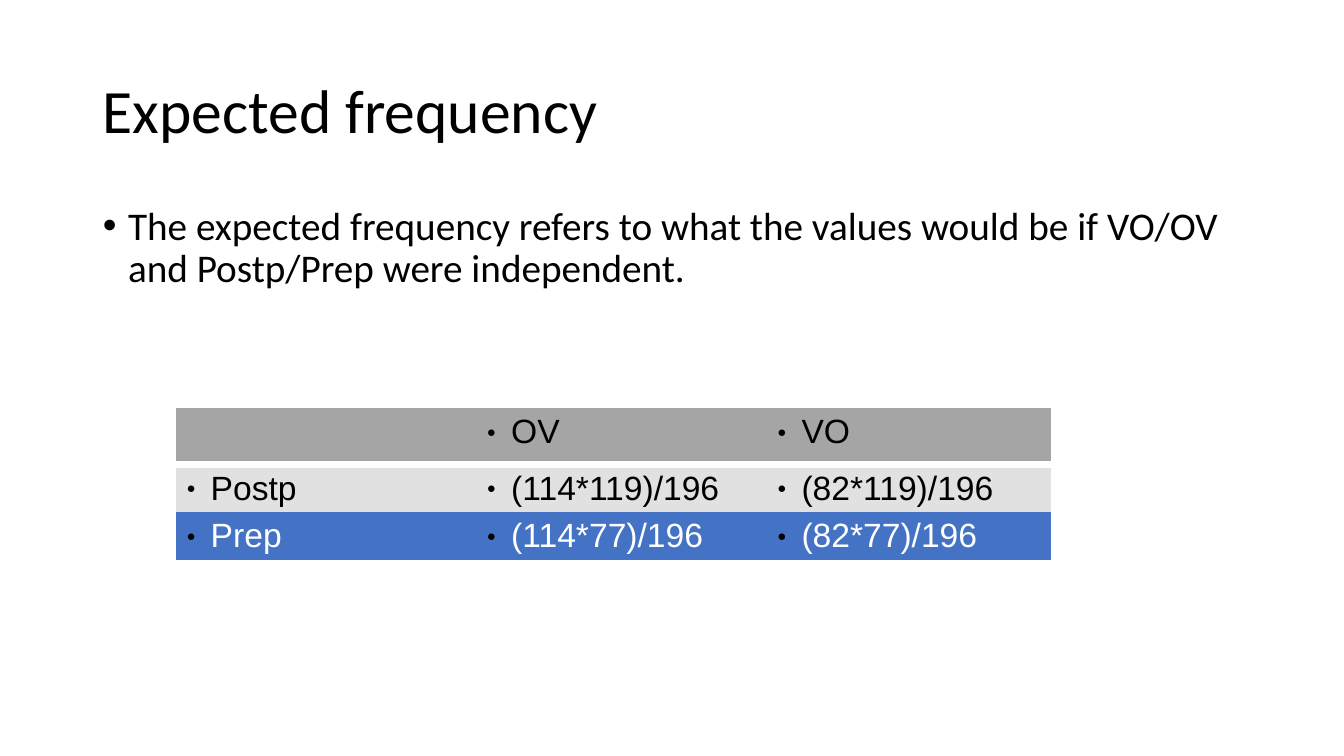
from dataclasses import dataclass

from lxml import etree
from pptx import Presentation
from pptx.dml.color import RGBColor
from pptx.enum.text import MSO_ANCHOR, PP_ALIGN
from pptx.oxml.ns import qn
from pptx.util import Inches, Pt

LEFT = PP_ALIGN.LEFT
TOP, MIDDLE = MSO_ANCHOR.TOP, MSO_ANCHOR.MIDDLE
PLAIN_TABLE_STYLE = "{2D5ABB26-0587-4C30-8999-92F81FD0307C}"


@dataclass(frozen=True)
class Theme:
    text: str = "000000"
    light: str = "FFFFFF"
    header: str = "A5A5A5"
    band: str = "E1E1E1"
    accent: str = "4472C4"
    heading_font: str = "Calibri"
    table_font: str = "Arial"
    title_size: int = 44
    body_size: int = 28
    table_size: int = 24
    rule_width: int = 6


THEME = Theme()

FREQUENCIES = [
    ["", "OV", "VO"],
    ["Postp", "(114*119)/196", "(82*119)/196"],
    ["Prep", "(114*77)/196", "(82*77)/196"],
]
ROW_STYLES = [
    (THEME.header, THEME.text),
    (THEME.band, THEME.text),
    (THEME.accent, THEME.light),
]
COLUMN_WIDTHS = [2.98, 2.88, 2.81]
ROW_HEIGHTS = [0.56, 0.47, 0.47]


def add_bullet(paragraph, character, indent, size_percent=100):
    properties = paragraph._p.get_or_add_pPr()
    properties.set("marL", str(Inches(indent)))
    properties.set("indent", str(-Inches(indent)))
    color = etree.SubElement(properties, qn("a:buClr"))
    etree.SubElement(color, qn("a:srgbClr"), val=THEME.text)
    etree.SubElement(properties, qn("a:buSzPct"), val=str(size_percent * 1000))
    etree.SubElement(properties, qn("a:buFont"), typeface="Arial")
    etree.SubElement(properties, qn("a:buChar"), char=character)


def write_text(text_frame, text, *, font, size, color=THEME.text, line_spacing=1.0, bullet=None):
    """Write one paragraph; bullet holds the keyword arguments of add_bullet."""
    paragraph = text_frame.paragraphs[0]
    paragraph.alignment = LEFT
    paragraph.line_spacing = line_spacing
    paragraph.space_before = Pt(0)
    if bullet:
        add_bullet(paragraph, **bullet)
    run = paragraph.add_run()
    run.text = text
    run.font.name = font
    run.font.size = Pt(size)
    run.font.color.rgb = RGBColor.from_string(color)


def fill_placeholder(shape, box, text, *, anchor, **text_format):
    shape.left, shape.top, shape.width, shape.height = map(Inches, box)
    shape.text_frame.word_wrap = True
    shape.text_frame.vertical_anchor = anchor
    write_text(shape.text_frame, text, font=THEME.heading_font, line_spacing=0.9, **text_format)


def add_bottom_rule(cell, color, width):
    line = etree.Element(qn("a:lnB"), w=str(Pt(width)))
    fill = etree.SubElement(line, qn("a:solidFill"))
    etree.SubElement(fill, qn("a:srgbClr"), val=color)
    cell._tc.get_or_add_tcPr().insert(0, line)


def add_frequency_table(slide, box):
    frame = slide.shapes.add_table(len(ROW_HEIGHTS), len(COLUMN_WIDTHS), *map(Inches, box))
    table = frame.table
    table.first_row = table.horz_banding = False
    table._tbl.tblPr.find(qn("a:tableStyleId")).text = PLAIN_TABLE_STYLE
    for column, width in zip(table.columns, COLUMN_WIDTHS):
        column.width = Inches(width)
    for row, height, values, (fill, color) in zip(table.rows, ROW_HEIGHTS, FREQUENCIES, ROW_STYLES):
        row.height = Inches(height)
        for cell, value in zip(row.cells, values):
            cell.fill.solid()
            cell.fill.fore_color.rgb = RGBColor.from_string(fill)
            if value:
                write_text(cell.text_frame, value, font=THEME.table_font, size=THEME.table_size,
                           color=color, bullet={"character": "●", "indent": 0.24, "size_percent": 45})
    for cell in table.rows[0].cells:
        add_bottom_rule(cell, THEME.light, THEME.rule_width)


def build_frequency_slide(presentation):
    slide = presentation.slides.add_slide(presentation.slide_layouts[1])
    fill_placeholder(slide.shapes.title, (0.92, 0.4, 11.5, 1.45), "Expected frequency",
                     anchor=MIDDLE, size=THEME.title_size)
    fill_placeholder(slide.placeholders[1], (0.92, 2, 11.5, 1.45),
                     "The expected frequency refers to what the values would be if VO/OV "
                     "and Postp/Prep were independent.",
                     anchor=TOP, size=THEME.body_size, bullet={"character": "•", "indent": 0.25})
    add_frequency_table(slide, (1.75, 4.05, sum(COLUMN_WIDTHS), sum(ROW_HEIGHTS)))


def main():
    presentation = Presentation()
    presentation.slide_width = Inches(13.33)
    presentation.slide_height = Inches(7.5)
    build_frequency_slide(presentation)
    presentation.save("out.pptx")


if __name__ == "__main__":
    main()
